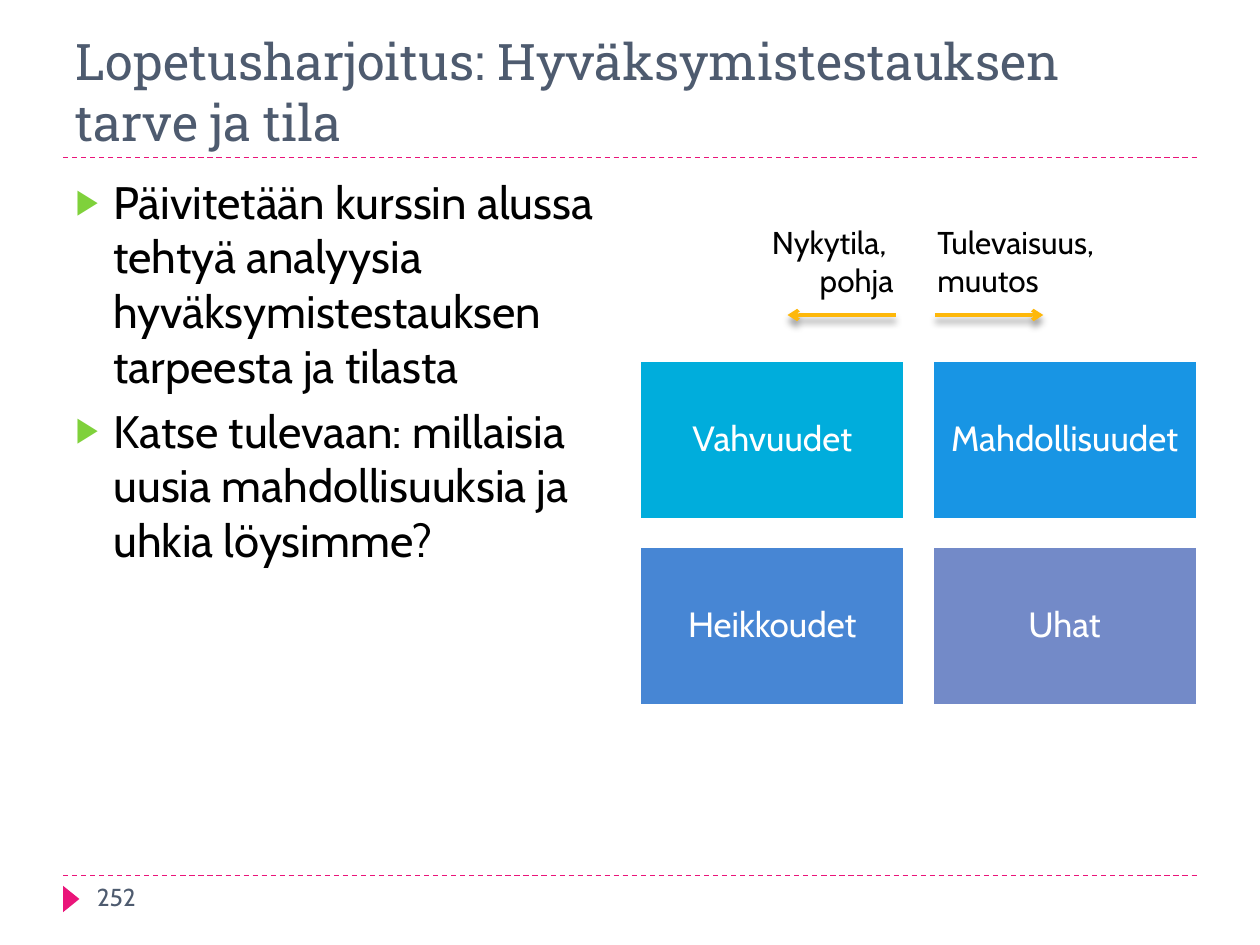
"""Build the closing exercise slide with a four-field SWOT grid."""
from dataclasses import dataclass

import lxml.etree
import pptx
import pptx.dml.color
import pptx.enum.dml
import pptx.enum.shapes
import pptx.enum.text
import pptx.oxml
import pptx.oxml.ns
import pptx.util

Inches = pptx.util.Inches
Pt = pptx.util.Pt
Align = pptx.enum.text.PP_ALIGN
Anchor = pptx.enum.text.MSO_ANCHOR
Shapes = pptx.enum.shapes.MSO_SHAPE
qn = pptx.oxml.ns.qn


@dataclass(frozen=True)
class Theme:
    heading_font: str = "Roboto Slab"
    body_font: str = "Cabin"
    heading: str = "4E5B6F"
    text: str = "000000"
    white: str = "FFFFFF"
    accent: str = "EA157A"
    bullet: str = "7FD13B"
    arrow: str = "FEB80A"
    title_size: float = 28.8
    body_size: float = 26
    field_size: float = 20
    label_size: float = 18
    number_size: float = 14


@dataclass(frozen=True)
class Field:
    name: str
    column: int
    row: int
    color: str


@dataclass(frozen=True)
class Direction:
    label: str
    left: float
    align: Align
    arrow_start: float
    arrow_end: float


THEME = Theme()
FIELDS = [
    Field("Vahvuudet", 0, 0, "00ADDC"),
    Field("Mahdollisuudet", 1, 0, "1895E4"),
    Field("Heikkoudet", 0, 1, "4786D4"),
    Field("Uhat", 1, 1, "738AC8"),
]
DIRECTIONS = [
    Direction("Tulevaisuus, muutos", 7.34, Align.LEFT, 7.42, 8.28),
    Direction("Nykytila, \vpohja", 5.31, Align.RIGHT, 7.11, 6.25),
]
EXERCISE = [
    "Päivitetään kurssin alussa tehtyä analyysia hyväksymistestauksen tarpeesta ja tilasta",
    "Katse tulevaan: millaisia uusia mahdollisuuksia ja uhkia löysimme?",
]
FIELD_WIDTH, FIELD_HEIGHT, FIELD_GAP = 2.1, 1.26, 0.22
GRID_LEFT, GRID_TOP = 5.08, 2.86


def rgb(color: str) -> pptx.dml.color.RGBColor:
    return pptx.dml.color.RGBColor.from_string(color)


def place(shape, left: float, top: float, width: float, height: float) -> None:
    shape.left, shape.top = Inches(left), Inches(top)
    shape.width, shape.height = Inches(width), Inches(height)


def add_bullet(paragraph) -> None:
    properties = paragraph._p.get_or_add_pPr()
    properties.set("marL", str(Inches(0.3)))
    properties.set("indent", str(-Inches(0.3)))
    color = lxml.etree.SubElement(properties, qn("a:buClr"))
    lxml.etree.SubElement(color, qn("a:srgbClr"), val=THEME.bullet)
    lxml.etree.SubElement(properties, qn("a:buSzPct"), val="76000")
    lxml.etree.SubElement(properties, qn("a:buChar"), char="▶")


def write(shape, *texts: str, size: float, color: str = THEME.text,
          font: str = THEME.body_font, align: Align = Align.LEFT,
          anchor: Anchor = Anchor.TOP, bullets: bool = False,
          space_before: float = 0, line_spacing: float = 1.0) -> None:
    frame = shape.text_frame
    frame.word_wrap = True
    frame.auto_size = pptx.enum.text.MSO_AUTO_SIZE.NONE
    frame.vertical_anchor = anchor
    for index, text in enumerate(texts):
        paragraph = frame.add_paragraph() if index else frame.paragraphs[0]
        paragraph.text = text
        paragraph.alignment = align
        paragraph.line_spacing = line_spacing
        paragraph.space_before = Pt(space_before if index else 0)
        if bullets:
            add_bullet(paragraph)
        for run in paragraph.runs:
            run.font.name = font
            run.font.size = Pt(size)
            run.font.color.rgb = rgb(color)


def add_label(slide, text: str, left: float, top: float, width: float,
              height: float, **text_format) -> None:
    label = slide.shapes.add_textbox(
        Inches(left), Inches(top), Inches(width), Inches(height))
    write(label, text, **text_format)


def add_line(slide, start: float, end: float, y: float, color: str, weight: float):
    line = slide.shapes.add_connector(
        pptx.enum.shapes.MSO_CONNECTOR.STRAIGHT,
        Inches(start), Inches(y), Inches(end), Inches(y))
    line.line.color.rgb = rgb(color)
    line.line.width = Pt(weight)
    effects = lxml.etree.SubElement(line._element.spPr, qn("a:effectLst"))
    return line, effects


def add_rule(slide, y: float) -> None:
    rule, _ = add_line(slide, 0.5, 9.5, y, THEME.accent, 0.75)
    rule.line.dash_style = pptx.enum.dml.MSO_LINE.DASH


def add_direction(slide, direction: Direction) -> None:
    add_label(slide, direction.label, direction.left, 1.72, 1.88, 0.71,
              size=THEME.label_size, align=direction.align)
    arrow, effects = add_line(slide, direction.arrow_start, direction.arrow_end,
                              2.5, THEME.arrow, 2)
    lxml.etree.SubElement(arrow.line._get_or_add_ln(), qn("a:tailEnd"), type="arrow")
    shadow = lxml.etree.SubElement(
        effects, qn("a:outerShdw"), blurRad=str(Pt(4)), dist=str(Pt(3.4)),
        dir="5400000", rotWithShape="0")
    shade = lxml.etree.SubElement(shadow, qn("a:srgbClr"), val=THEME.text)
    lxml.etree.SubElement(shade, qn("a:alpha"), val="40000")


def add_filled(slide, kind: Shapes, left: float, top: float, width: float,
               height: float, color: str):
    shape = slide.shapes.add_shape(
        kind, Inches(left), Inches(top), Inches(width), Inches(height))
    shape.shadow.inherit = False
    shape.fill.solid()
    shape.fill.fore_color.rgb = rgb(color)
    shape.line.fill.background()
    return shape


def add_field(slide, field: Field) -> None:
    box = add_filled(
        slide, Shapes.RECTANGLE,
        GRID_LEFT + field.column * (FIELD_WIDTH + FIELD_GAP),
        GRID_TOP + field.row * (FIELD_HEIGHT + FIELD_GAP),
        FIELD_WIDTH, FIELD_HEIGHT, field.color)
    box.line.color.rgb = rgb(THEME.white)
    box.line.width = Pt(1.5)
    frame = box.text_frame
    frame.margin_left = frame.margin_right = Inches(0.08)
    frame.margin_top = frame.margin_bottom = Inches(0.08)
    write(box, field.name, size=THEME.field_size, color=THEME.white,
          align=Align.CENTER, anchor=Anchor.MIDDLE, line_spacing=0.9)


def main() -> None:
    deck = pptx.Presentation()
    deck.slide_width, deck.slide_height = Inches(10), Inches(7.5)
    slide = deck.slides.add_slide(deck.slide_layouts[1])

    for y in (6.95, 1.25):
        add_rule(slide, y)
    marker = add_filled(slide, Shapes.ISOSCELES_TRIANGLE,
                        0.46, 7.07, 0.21, 0.13, THEME.accent)
    marker.rotation = 90

    title = slide.shapes.title
    place(title, 0.5, 0.25, 9, 1)
    write(title, "Lopetusharjoitus: Hyväksymistestauksen tarve ja tila",
          size=THEME.title_size, color=THEME.heading, font=THEME.heading_font,
          anchor=Anchor.BOTTOM)
    exercise = slide.placeholders[1]
    place(exercise, 0.5, 1.33, 4.42, 5.4)
    write(exercise, *EXERCISE, size=THEME.body_size, bullets=True, space_before=6)

    for field in FIELDS:
        add_field(slide, field)
    for direction in DIRECTIONS:
        add_direction(slide, direction)
    add_label(slide, "252", 0.67, 6.95, 2.17, 0.4,
              size=THEME.number_size, color=THEME.heading)

    deck.save("out.pptx")


if __name__ == "__main__":
    main()
